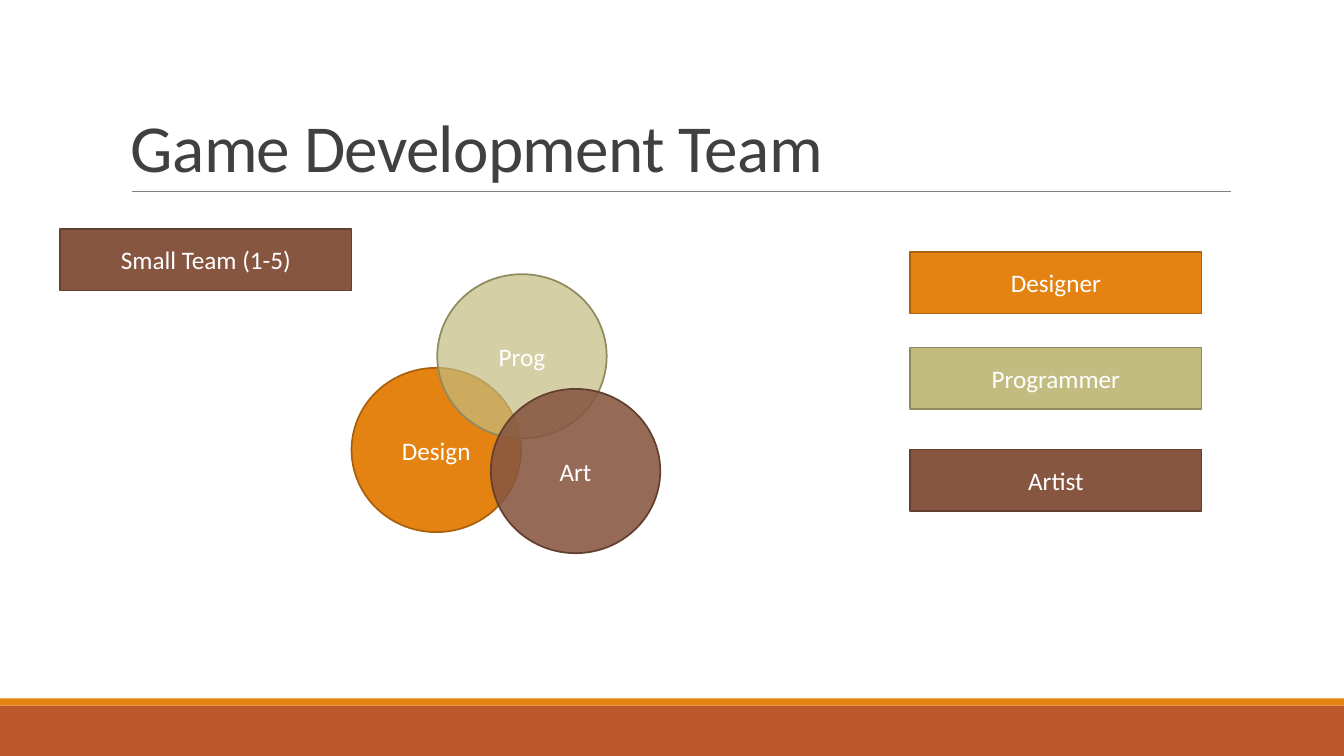
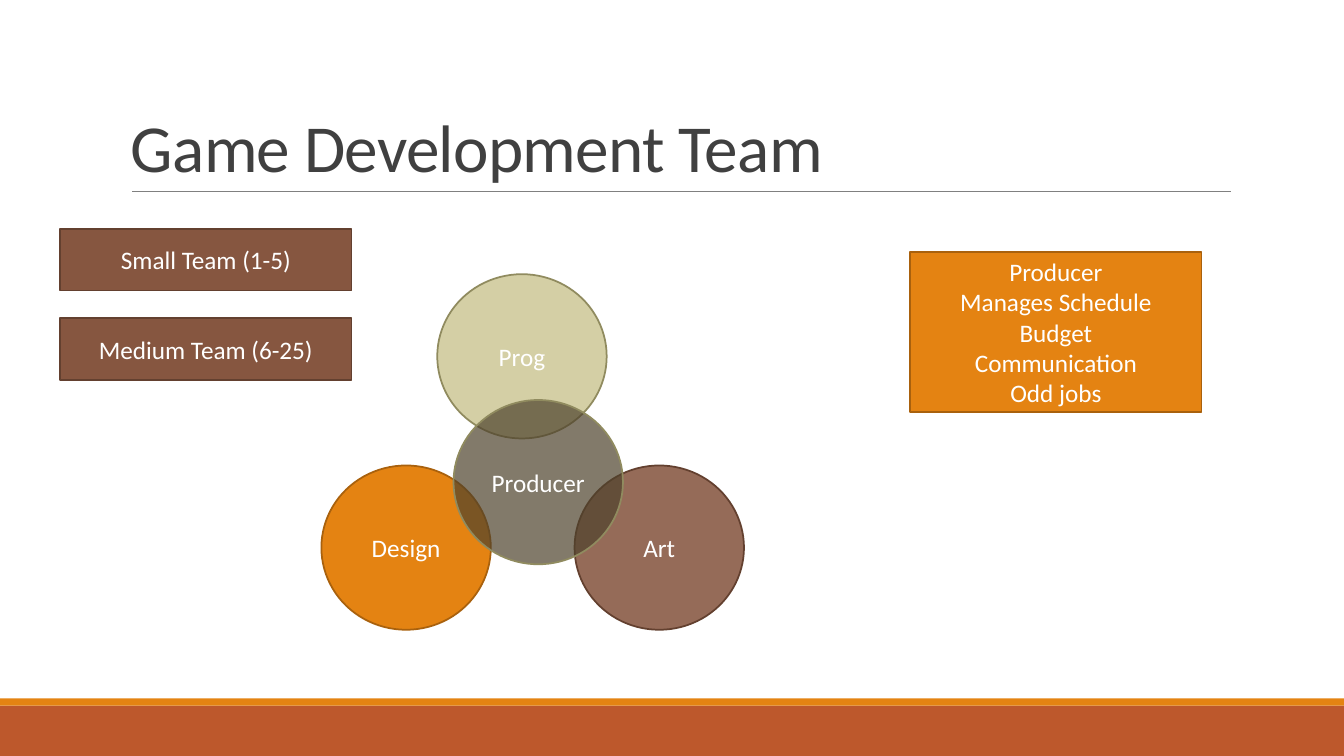
from lxml.etree import SubElement
from pptx import Presentation
from pptx.dml.color import RGBColor
from pptx.enum.shapes import MSO_CONNECTOR as CONNECTOR, MSO_SHAPE as SHAPE
from pptx.enum.text import MSO_ANCHOR as ANCHOR, PP_ALIGN as ALIGN
from pptx.oxml.ns import qn
from pptx.util import Cm, Pt

ORANGE = RGBColor(0xE4, 0x83, 0x12)
DARK_ORANGE = RGBColor(0xA9, 0x61, 0x0D)
OLIVE = RGBColor(0xC2, 0xBC, 0x80)
DARK_OLIVE = RGBColor(0x90, 0x8B, 0x5F)
BROWN = RGBColor(0x86, 0x56, 0x40)
DARK_BROWN = RGBColor(0x63, 0x40, 0x2F)
UMBER = RGBColor(0x4E, 0x42, 0x2C)
RUST = RGBColor(0xBD, 0x58, 0x2C)
GRAY = RGBColor(0x80, 0x80, 0x80)
CHARCOAL = RGBColor(0x40, 0x40, 0x40)
WHITE = RGBColor(0xFF, 0xFF, 0xFF)

DESIGN = (ORANGE, DARK_ORANGE, 100)
PROGRAMMING = (OLIVE, DARK_OLIVE, 70)
ART = (BROWN, DARK_BROWN, 87)
PRODUCTION = (UMBER, DARK_OLIVE, 70)

SLIDE_WIDTH, SLIDE_HEIGHT = 33.87, 19.05
CIRCLE_WIDTH, CIRCLE_HEIGHT = 4.27, 4.14
LABEL_WIDTH, LABEL_HEIGHT = 7.34, 1.55
TEAM_LEFT, TEAM_TOP, TEAM_STEP = 1.52, 5.77, 2.25
ROLE_LEFT, ROLE_TOP = 22.94, 6.35


class TeamDeck:
    title_font = {"name": "Calibri", "size": Pt(48)}
    label_font = {"name": "Calibri", "size": Pt(18)}

    def __init__(self):
        self.deck = Presentation()
        self.deck.slide_width = Cm(SLIDE_WIDTH)
        self.deck.slide_height = Cm(SLIDE_HEIGHT)
        self.page = None

    def start_page(self, title):
        self.page = self.deck.slides.add_slide(self.deck.slide_layouts[6])
        self.shape(SHAPE.RECTANGLE, 0, 17.78, SLIDE_WIDTH, 1.27, RUST)
        self.shape(SHAPE.RECTANGLE, 0, 17.6, SLIDE_WIDTH, 0.18, ORANGE)
        self.rule(3.33, 31.01, 4.83)
        self.title(title)

    def rule(self, left, right, top):
        line = self.page.shapes.add_connector(
            CONNECTOR.STRAIGHT, Cm(left), Cm(top), Cm(right), Cm(top))
        line.line.color.rgb = GRAY
        line.line.width = Pt(0.5)
        SubElement(line._element.spPr, qn("a:effectLst"))

    def title(self, text):
        box = self.page.shapes.add_textbox(Cm(3.05), Cm(0.79), Cm(27.94), Cm(4.04))
        frame = box.text_frame
        frame.word_wrap = True
        frame.vertical_anchor = ANCHOR.BOTTOM
        para = frame.paragraphs[0]
        para.line_spacing = 0.85
        span = self.span(para, text, self.title_font, CHARCOAL)
        span.font._element.set("spc", "-50")

    def span(self, para, text, formats, color):
        span = para.add_run()
        span.text = text
        for name, value in formats.items():
            setattr(span.font, name, value)
        span.font.color.rgb = color
        return span

    def shape(self, kind, left, top, width, height, fill, outline=None, opacity=100):
        shape = self.page.shapes.add_shape(
            kind, Cm(left), Cm(top), Cm(width), Cm(height))
        shape.shadow.inherit = False
        shape.fill.solid()
        shape.fill.fore_color.rgb = fill
        if opacity < 100:
            color = shape._element.spPr.find(qn("a:solidFill")).find(qn("a:srgbClr"))
            SubElement(color, qn("a:alpha"), val=str(opacity * 1000))
        if outline is None:
            shape.line.fill.background()
        else:
            shape.line.color.rgb = outline
            shape.line.width = Pt(1.25)
        return shape

    def caption(self, shape, lines):
        frame = shape.text_frame
        frame.vertical_anchor = ANCHOR.MIDDLE
        for index, text in enumerate(lines):
            para = frame.add_paragraph() if index else frame.paragraphs[0]
            para.alignment = ALIGN.CENTER
            self.span(para, text, self.label_font, WHITE)

    def circle(self, text, left, top, style):
        shape = self.shape(SHAPE.OVAL, left, top, CIRCLE_WIDTH, CIRCLE_HEIGHT, *style)
        self.caption(shape, [text])

    def label(self, lines, left, top, style, height=LABEL_HEIGHT):
        fill, outline, _ = style
        shape = self.shape(
            SHAPE.RECTANGLE, left, top, LABEL_WIDTH, height, fill, outline)
        self.caption(shape, lines)

    def team_sizes(self, *names):
        for index, name in enumerate(names):
            self.label([name], TEAM_LEFT, TEAM_TOP + index * TEAM_STEP, ART)


def small_team(team):
    team.start_page("Game Development Team")
    team.circle("Design", 8.86, 9.27, DESIGN)
    team.circle("Prog", 11.02, 6.91, PROGRAMMING)
    team.circle("Art", 12.37, 9.8, ART)
    for role, top, style in (
        ("Designer", ROLE_TOP, DESIGN),
        ("Programmer", 8.76, PROGRAMMING),
        ("Artist", 11.33, ART),
    ):
        team.label([role], ROLE_LEFT, top, style)
    team.team_sizes("Small Team (1-5)")


def medium_team(team):
    team.start_page("Game Development Team")
    team.circle("Design", 8.1, 11.73, DESIGN)
    team.circle("Prog", 11.02, 6.91, PROGRAMMING)
    team.circle("Art", 14.48, 11.73, ART)
    duties = ["Producer", "Manages Schedule", "Budget", "Communication", "Odd jobs"]
    team.label(duties, ROLE_LEFT, ROLE_TOP, DESIGN, height=4.04)
    team.team_sizes("Small Team (1-5)", "Medium Team (6-25)")
    team.circle("Producer", 11.43, 10.08, PRODUCTION)


def main():
    team = TeamDeck()
    small_team(team)
    medium_team(team)
    team.deck.save("out.pptx")


if __name__ == "__main__":
    main()
